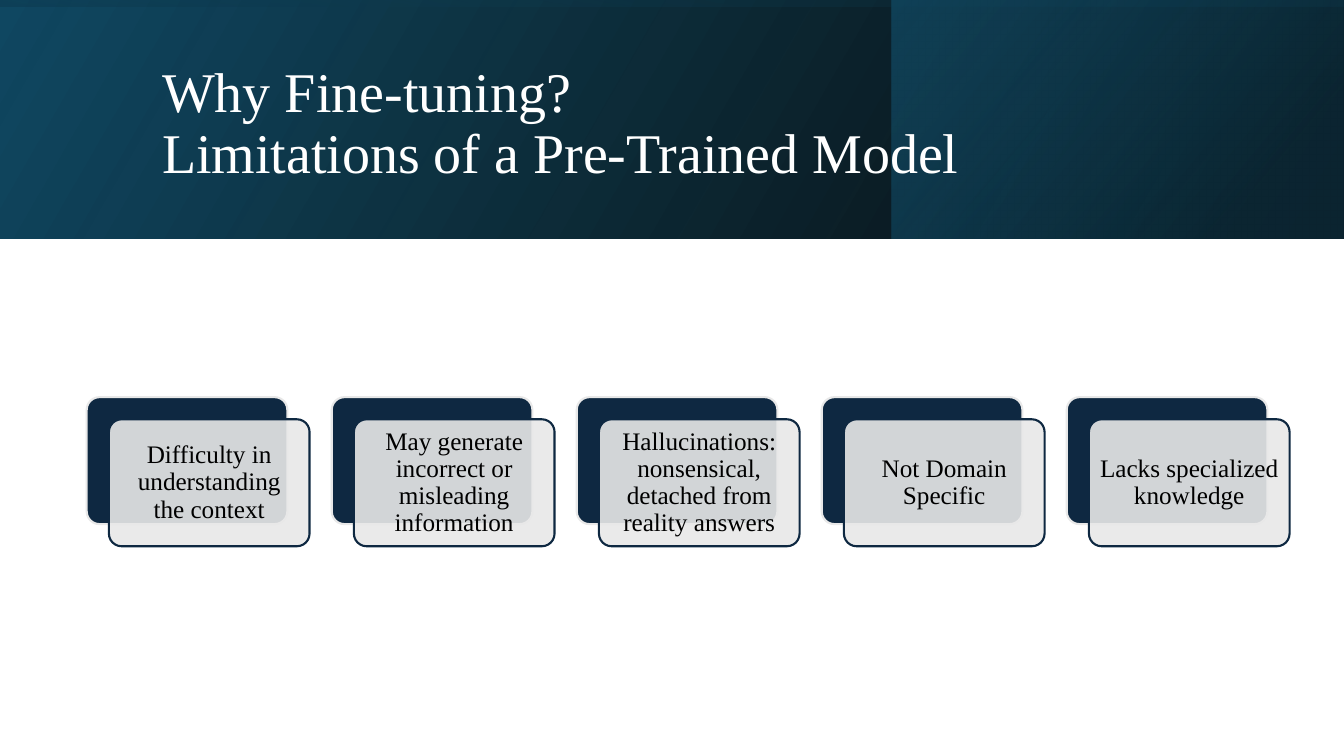
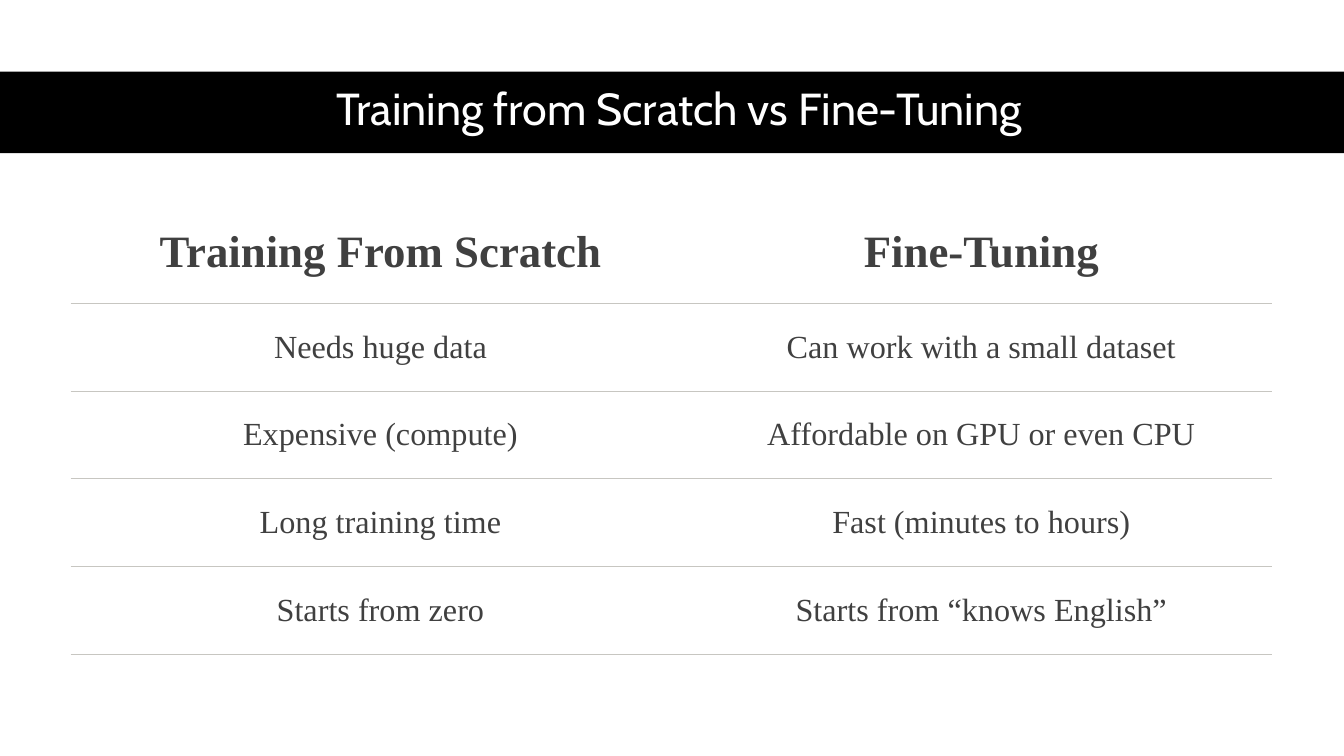
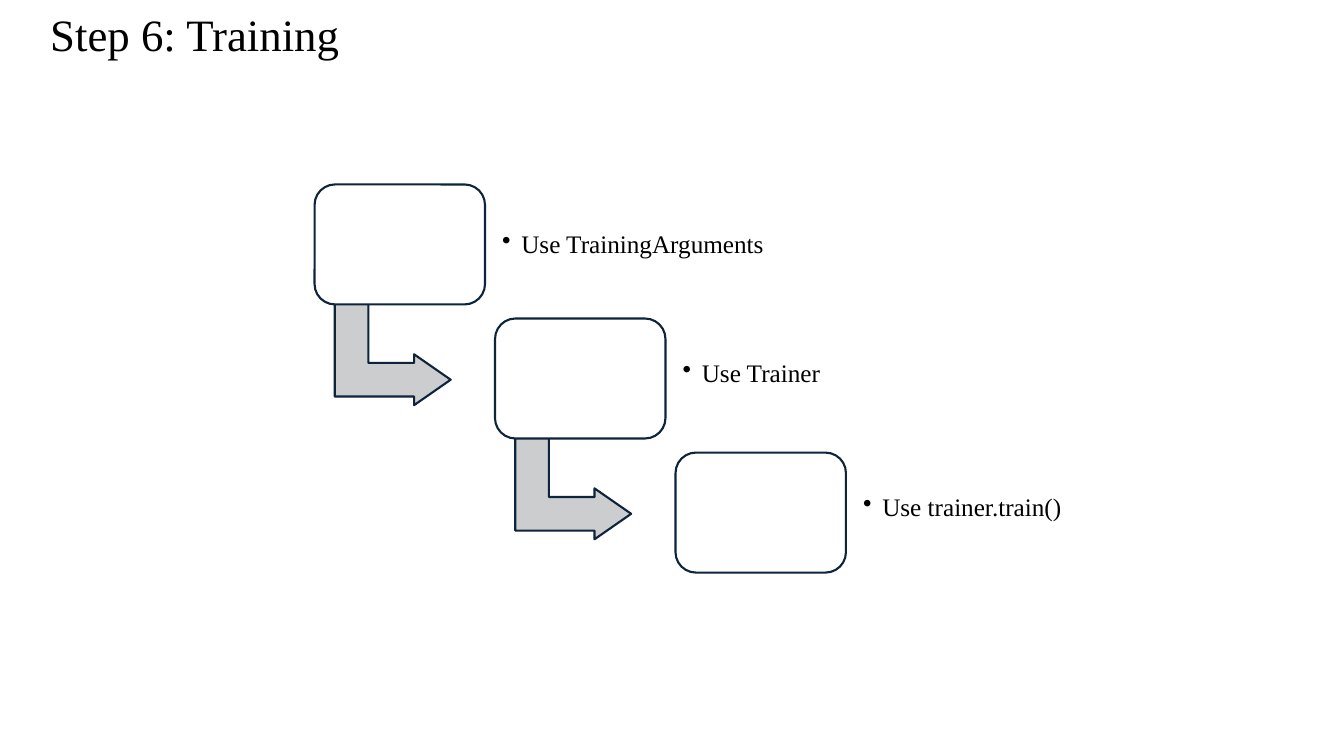
import pptx
import pptx.util
import pptx.dml.color
import pptx.enum.shapes
import pptx.enum.text
import pptx.oxml
import pptx.oxml.ns
from lxml import etree

Inches, Pt = pptx.util.Inches, pptx.util.Pt
RGBColor = pptx.dml.color.RGBColor
SHAPE = pptx.enum.shapes.MSO_SHAPE
ALIGN = pptx.enum.text.PP_ALIGN
MIDDLE = pptx.enum.text.MSO_ANCHOR.MIDDLE
qn = pptx.oxml.ns.qn

# Shared look
WHITE = RGBColor(0xFF, 0xFF, 0xFF)
BLACK = RGBColor(0, 0, 0)
NAVY = RGBColor(0x0E, 0x28, 0x41)
STEP_LINE = RGBColor(0x0D, 0x24, 0x3B)
PALE = RGBColor(0xE8, 0xE8, 0xE8)
ARROW_GREY = RGBColor(0xCC, 0xCD, 0xCF)
RULE_GREY = RGBColor(0xC7, 0xC6, 0xC1)
TABLE_TEXT = RGBColor(0x40, 0x40, 0x40)
DEEP_BLUE = RGBColor(0x10, 0x48, 0x62)
DARK_TEAL = RGBColor(0x0B, 0x30, 0x41)
TEAL = RGBColor(0x15, 0x60, 0x82)

SERIF, SANS = "Times New Roman", "Cabin"
SLIDE_WIDTH, SLIDE_HEIGHT = 13.33, 7.5
BODY = {"name": SERIF, "size": Pt(18), "color": BLACK}
PLAIN_INSETS = (0.1, 0.05, 0.1, 0.05)
SMALL_INSETS = (0.07,) * 4
NO_TABLE_STYLE = "{2D5ABB26-0587-4C30-8999-92F81FD0307C}"

# Content
LIMITS_TITLE = "Why Fine-tuning?\vLimitations of a Pre-Trained Model"
LIMITS = [
    "Difficulty in understanding the context",
    "May generate incorrect or misleading information",
    "Hallucinations: nonsensical, detached from reality answers",
    "Not Domain Specific",
    "Lacks specialized knowledge",
]
# Place, rotation, gradient angle, stops of (percent, colour, opacity)
HEADER_LAYERS = [
    ((0, 0, 13.33, 2.37), 0, 330, [(0, BLACK, 96), (100, DEEP_BLUE, 100)]),
    ((8.84, 0, 4.48, 2.37), 0, 320, [(19, DARK_TEAL, 68), (100, TEAL, 48)]),
    ((5.48, -5.48, 2.37, 13.33), 270, 350, [(23, DEEP_BLUE, 16), (99, BLACK, 45)]),
]

COMPARE_TITLE = "Training from Scratch vs Fine-Tuning"
COMPARE_ROWS = [
    ("Training From Scratch", "Fine-Tuning"),
    ("Needs huge data", "Can work with a small dataset"),
    ("Expensive (compute)", "Affordable on GPU or even CPU"),
    ("Long training time", "Fast (minutes to hours)"),
    ("Starts from zero", "Starts from “knows English”"),
]
COLUMN_WIDTHS = (6.04, 5.88)
HEAD_HEIGHT, ROW_HEIGHT = 1.02, 0.87

STEPS_TITLE = "Step 6: Training"
# Label, its width, its drop below the top of the box
STEPS = [
    ("Use TrainingArguments", 2.85, 0.12),
    ("Use Trainer", 2.11, 0.07),
    ("Use trainer.train()", 2.38, 0.07),
]


def add_slide(deck):
    page = deck.slides.add_slide(deck.slide_layouts[6])
    page.background.fill.solid()
    page.background.fill.fore_color.rgb = WHITE
    return page


def write(frame, text, font, align=ALIGN.LEFT, insets=PLAIN_INSETS, spacing=0.9):
    frame.word_wrap = True
    frame.vertical_anchor = MIDDLE
    for side, inset in zip(("left", "top", "right", "bottom"), insets):
        setattr(frame, "margin_" + side, Inches(inset))
    para = frame.paragraphs[0]
    para.text = text
    para.alignment = align
    para.line_spacing = spacing
    for span in para.runs:
        for key, value in font.items():
            if key == "color":
                span.font.color.rgb = value
            else:
                setattr(span.font, key, value)
    return para


def add_text(page, place, text, font, **options):
    box = page.shapes.add_textbox(*map(Inches, place))
    return write(box.text_frame, text, font, **options)


def add_box(page, kind, place, fill=None, line=None, adjust=()):
    box = page.shapes.add_shape(kind, *map(Inches, place))
    box.shadow.inherit = False
    if fill is not None:
        box.fill.solid()
        box.fill.fore_color.rgb = fill
    if line is None:
        box.line.fill.background()
    else:
        box.line.color.rgb = line
        box.line.width = Pt(1.5)
    for index, value in enumerate(adjust):
        box.adjustments[index] = value
    return box


def add_opacity(color, percent):
    etree.SubElement(color, qn("a:alpha"), val=str(percent * 1000))


def set_gradient(box, angle, stops):
    gradient = pptx.oxml.parse_xml(
        '<a:gradFill xmlns:a="http://schemas.openxmlformats.org/drawingml/2006/main">'
        f'<a:gsLst/><a:lin ang="{angle * 60000}" scaled="0"/></a:gradFill>')
    for percent, color, opacity in stops:
        stop = etree.SubElement(gradient[0], qn("a:gs"), pos=str(percent * 1000))
        add_opacity(etree.SubElement(stop, qn("a:srgbClr"), val=str(color)), opacity)
    box._element.spPr.find(qn("a:prstGeom")).addnext(gradient)


def set_bullet(para, indent):
    props = para._p.get_or_add_pPr()
    props.set("marL", str(Inches(indent)))
    props.set("indent", str(-Inches(indent)))
    etree.SubElement(props, qn("a:buChar"), char="•")


def set_bottom_rule(cell, color):
    rule = etree.Element(qn("a:lnB"), w=str(Pt(0.75)))
    fill = etree.SubElement(rule, qn("a:solidFill"))
    etree.SubElement(fill, qn("a:srgbClr"), val=str(color))
    cell._tc.get_or_add_tcPr().insert(0, rule)


def build_limits(deck):
    page = add_slide(deck)
    # Layered gradient header
    for place, rotation, angle, stops in HEADER_LAYERS:
        layer = add_box(page, SHAPE.RECTANGLE, place)
        layer.rotation = rotation
        layer._element.spPr.xfrm.set("flipH", "1")
        set_gradient(layer, angle, stops)
    add_text(page, (1.51, 0.38, 10.63, 1.72), LIMITS_TITLE,
             {"name": SERIF, "size": Pt(40), "color": WHITE})
    # Row of cards, each on an offset backing
    left, top, width, height, pitch, offset = 0.86, 3.94, 1.99, 1.26, 2.43, 0.22
    for index, text in enumerate(LIMITS):
        x = left + index * pitch
        add_box(page, SHAPE.ROUNDED_RECTANGLE, (x, top, width, height), NAVY, PALE, [0.1])
        card = add_box(page, SHAPE.ROUNDED_RECTANGLE,
                       (x + offset, top + offset, width, height), PALE, NAVY, [0.1])
        add_opacity(card._element.spPr.find(qn("a:solidFill"))[0], 90)
        write(card.text_frame, text, BODY, align=ALIGN.CENTER, insets=SMALL_INSETS)


def build_comparison(deck):
    page = add_slide(deck)
    # Title band
    band = add_box(page, SHAPE.RECTANGLE, (0, 0.71, SLIDE_WIDTH, 0.81), BLACK)
    write(band.text_frame, COMPARE_TITLE, {"name": SANS, "size": Pt(32), "color": WHITE},
          align=ALIGN.CENTER, insets=(0.15, 0.04, 0, 0.06))
    # Two-column table with thin rules
    heights = [HEAD_HEIGHT] + [ROW_HEIGHT] * (len(COMPARE_ROWS) - 1)
    frame = page.shapes.add_table(len(heights), len(COLUMN_WIDTHS), Inches(0.7), Inches(1.99),
                                  Inches(sum(COLUMN_WIDTHS)), Inches(sum(heights)))
    table = frame.table
    table.first_row = table.horz_banding = False
    table._tbl.tblPr.find(qn("a:tableStyleId")).text = NO_TABLE_STYLE
    for column, width in zip(table.columns, COLUMN_WIDTHS):
        column.width = Inches(width)
    for index, (texts, height) in enumerate(zip(COMPARE_ROWS, heights)):
        table.rows[index].height = Inches(height)
        head = index == 0
        font = {"name": SERIF, "size": Pt(32 if head else 23), "bold": head,
                "color": TABLE_TEXT}
        for cell, text in zip(table.rows[index].cells, texts):
            write(cell.text_frame, text, font, align=ALIGN.CENTER, spacing=1.0)
            cell.vertical_anchor = MIDDLE
            for side, inset in {"left": 0.44, "top": 0.22, "right": 0.33, "bottom": 0.22}.items():
                setattr(cell, "margin_" + side, Inches(inset))
            cell.fill.background()
            set_bottom_rule(cell, RULE_GREY)


def build_steps(deck):
    page = add_slide(deck)
    add_text(page, (0.4, -0.05, 8.1, 0.84), STEPS_TITLE,
             {"name": SERIF, "size": Pt(32), "color": BLACK})
    # Staircase of boxes joined by bent arrows
    left, top, width, height = 3.12, 1.83, 1.69, 1.19
    step_right, step_down = 1.79, 1.33
    for index, (text, text_width, drop) in enumerate(STEPS):
        x, y = left + index * step_right, top + index * step_down
        if index < len(STEPS) - 1:
            arrow = add_box(page, SHAPE.BENT_UP_ARROW, (x + 0.27, y + 1.11, 1.01, 1.15),
                            ARROW_GREY, STEP_LINE, [0.33, 0.25, 0.36])
            arrow.rotation = 90
        add_box(page, SHAPE.ROUNDED_RECTANGLE, (x, y, width, height), WHITE, STEP_LINE, [0.17])
        label = add_text(page, (x + step_right, y + drop, text_width, 0.96), text, BODY,
                         insets=SMALL_INSETS)
        set_bullet(label, 0.19)


def main():
    deck = pptx.Presentation()
    deck.slide_width, deck.slide_height = Inches(SLIDE_WIDTH), Inches(SLIDE_HEIGHT)
    for build in (build_limits, build_comparison, build_steps):
        build(deck)
    deck.save("out.pptx")


if __name__ == "__main__":
    main()
